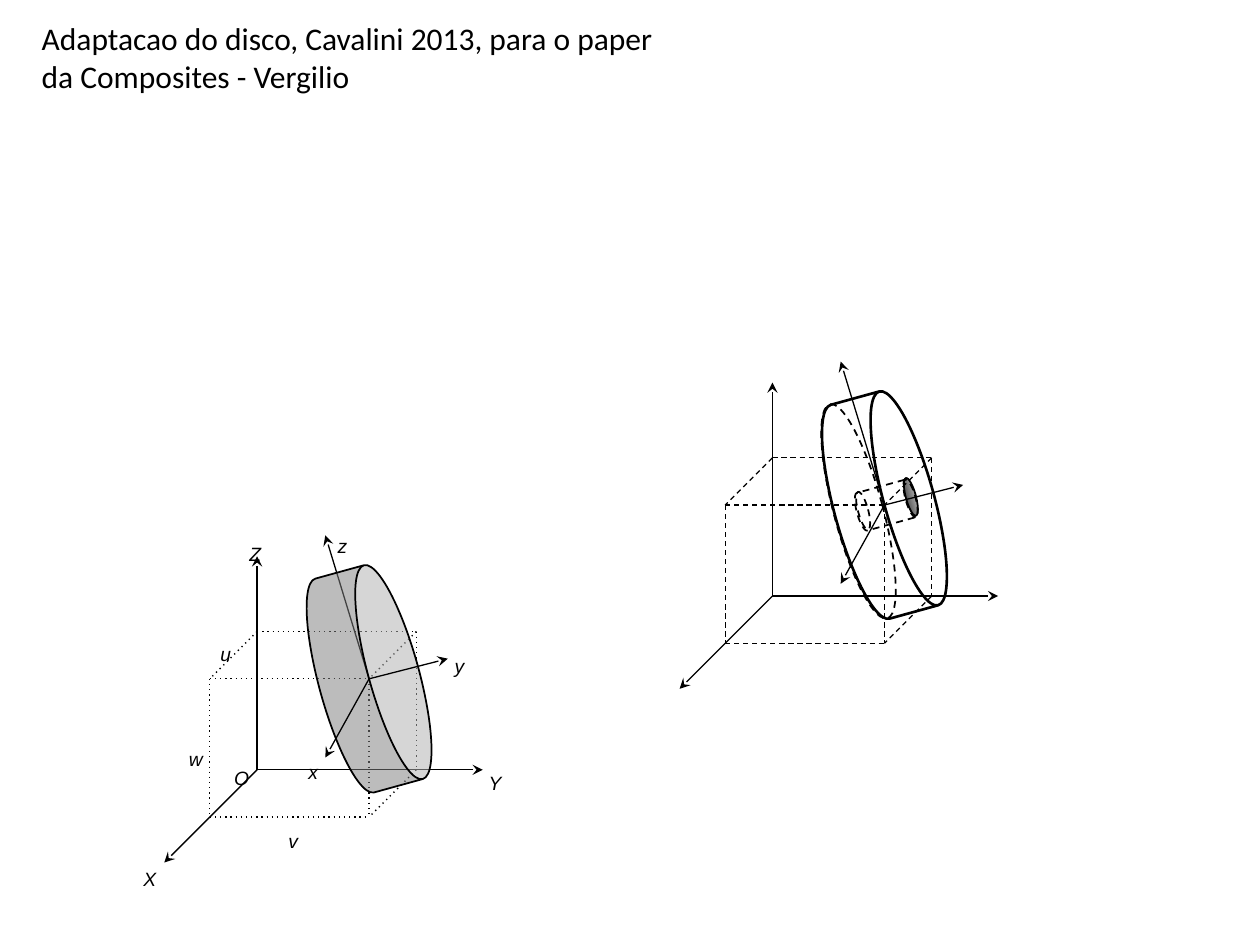
import copy

import pptx
import pptx.dml.color
import pptx.enum.shapes
import pptx.enum.text
import pptx.oxml
import pptx.oxml.ns
import pptx.util
from lxml import etree

Pt = pptx.util.Pt
qn = pptx.oxml.ns.qn
KIND = pptx.enum.shapes.MSO_SHAPE
ALIGN = pptx.enum.text.PP_ALIGN

COLORS = {"ink": "000000", "grey": "7F7F7F", "white": "FFFFFF"}

# Offsets from the origin O of each frame; y grows downwards.
WIDE, HIGH, DEEP = 91, 79, 27
CENTRE = (WIDE - DEEP, DEEP - HIGH)
DISC = (126.7, 57.6)
TILT = 74.6
LEAN = 165
AXES = [(129, 0), (0, -122), (-53, 53)]
LOCAL = {"z": (-25, -82), "x": (-25, 45), "y": (45, -11.5)}
LABELS = {
    "x": (22.3, -15.8), "y": (105.8, -76.3), "z": (38.9, -144.7),
    "Y": (125.3, -9.4), "X": (-72, 45.4), "Z": (-11.5, -140.4),
    "v": (10.8, 23.8), "w": (-46.1, -23), "u": (-28.1, -82.8),
    "O": (-20.2, -12.2),
}


def rgb(name):
    return pptx.dml.color.RGBColor.from_string(COLORS[name])


def write(frame, text, font="Calibri", size=18, italic=False,
          align=ALIGN.LEFT, space=None):
    """Put each line of text in a paragraph of its own."""
    frame.word_wrap = True
    frame.auto_size = pptx.enum.text.MSO_AUTO_SIZE.NONE
    frame.vertical_anchor = pptx.enum.text.MSO_ANCHOR.TOP
    for i, line in enumerate(text.split("\n")):
        para = frame.add_paragraph() if i else frame.paragraphs[0]
        para.alignment = align
        if space:
            para.line_spacing = space
        run = para.add_run()
        run.text = line
        run.font.name, run.font.size = font, Pt(size)
        run.font.italic = italic
        run.font.color.rgb = rgb("ink")


class Sketch:
    def __init__(self, slide):
        self.slide = slide
        self.start((0, 0))

    def start(self, origin):
        """Open a group whose lengths are measured from origin."""
        self.left, self.top = origin
        self.items = self.slide.shapes
        if any(origin):
            self.items = self.slide.shapes.add_group_shape().shapes

    def spot(self, point):
        return Pt(self.left + point[0]), Pt(self.top + point[1])

    def title(self, text, left, top, width, height):
        box = self.slide.shapes.title
        box.left, box.top = Pt(left), Pt(top)
        box.width, box.height = Pt(width), Pt(height)
        write(box.text_frame, text)

    def label(self, text, point):
        box = self.items.add_textbox(*self.spot(point), Pt(19.4), Pt(23))
        write(box.text_frame, text, font="Arial", size=11, italic=True,
              align=ALIGN.JUSTIFY, space=1.5)

    def stroke(self, shape, width, dash=None):
        shape.line.color.rgb = rgb("ink")
        shape.line.width = Pt(width)
        line = shape._element.spPr.find(qn("a:ln"))
        if dash:
            etree.SubElement(line, qn("a:prstDash"), val=dash)
        return line

    def line(self, start, end, dash=None, arrow=False):
        link = self.items.add_connector(
            pptx.enum.shapes.MSO_CONNECTOR.STRAIGHT,
            *self.spot(start), *self.spot(end))
        line = self.stroke(link, 0.75, dash)
        if arrow:
            etree.SubElement(line, qn("a:tailEnd"), type="stealth")
        etree.SubElement(link._element.spPr, qn("a:effectLst"))

    def solid(self, kind, size, shift=(0, 0), turn=LEAN, fill=None,
              width=1, dash=None, adjust=None):
        """Draw a turned shape, shifted from the disc centre."""
        wide, high = size
        corner = (CENTRE[0] + shift[0] - wide / 2,
                  CENTRE[1] + shift[1] - high / 2)
        shape = self.items.add_shape(kind, *self.spot(corner),
                                     Pt(wide), Pt(high))
        shape.rotation = turn
        shape.shadow.inherit = False
        if adjust:
            shape.adjustments[0] = adjust
        if fill:
            shape.fill.solid()
            shape.fill.fore_color.rgb = rgb(fill)
        else:
            shape.fill.background()
        self.stroke(shape, width, dash)
        return shape

    def shade(self, shape):
        """Fade from ink through grey to white."""
        shape.fill.gradient()
        shape.fill.gradient_angle = 180
        stops = shape._element.spPr.find(qn("a:gradFill")).find(qn("a:gsLst"))
        stops.append(copy.deepcopy(stops[0]))
        for i, (stop, name) in enumerate(
                zip(shape.fill.gradient_stops, COLORS)):
            stop.position = i / 2
            stop.color.rgb = rgb(name)

    def box(self, dash):
        """Draw the box edges that do not lie on the axes."""
        front = CENTRE
        foot = (front[0], DEEP)
        side, base = (-DEEP, front[1]), (-DEEP, DEEP)
        far, end, peak = (WIDE, -HIGH), (WIDE, 0), (0, -HIGH)
        for start, stop in [(end, foot), (far, end), (far, front),
                            (peak, far), (front, foot), (side, front),
                            (side, base), (base, foot), (peak, side)]:
            self.line(start, stop, dash)

    def axes(self):
        for end in AXES:
            self.line((0, 0), end, arrow=True)

    def local(self, names):
        for name in names:
            end = [a + b for a, b in zip(CENTRE, LOCAL[name])]
            self.line(CENTRE, end, arrow=True)


def grey(art):
    art.start((146.9, 439.9))
    art.box("dot")
    art.axes()
    art.local("z")
    for text, point in LABELS.items():
        art.label(text, point)
    disc = art.solid(KIND.CAN, DISC, turn=TILT, fill="grey", adjust=0.5)
    color = disc._element.spPr.find(qn("a:solidFill"))[0]
    etree.SubElement(color, qn("a:alpha"), val="52000")
    art.local("xy")


def hollow(art):
    art.start((441.4, 340.6))
    art.solid(KIND.CAN, DISC, turn=TILT, fill="white", width=1.5, adjust=0.5)
    cap = (5.8, 22.3)
    art.shade(art.solid(KIND.OVAL, cap, (15.1, -4.7)))
    art.box("dash")
    art.axes()
    art.local("zxy")
    art.solid(KIND.OVAL, (28.1, 126.7), (-14.8, 3.6), dash="dash")
    art.solid(KIND.CAN, (22.3, 34.6), (1, 0), turn=TILT, dash="dash",
              adjust=0.26)
    art.solid(KIND.OVAL, cap, (-12.2, 3.2), dash="dash")


def main():
    deck = pptx.Presentation()
    deck.slide_width, deck.slide_height = Pt(720), Pt(540)
    art = Sketch(deck.slides.add_slide(deck.slide_layouts[5]))
    art.title("Adaptacao do disco, Cavalini 2013, para o paper\n"
              "da Composites - Vergilio", 16.6, 7.2, 370, 51)
    grey(art)
    hollow(art)
    deck.save("out.pptx")


if __name__ == "__main__":
    main()
